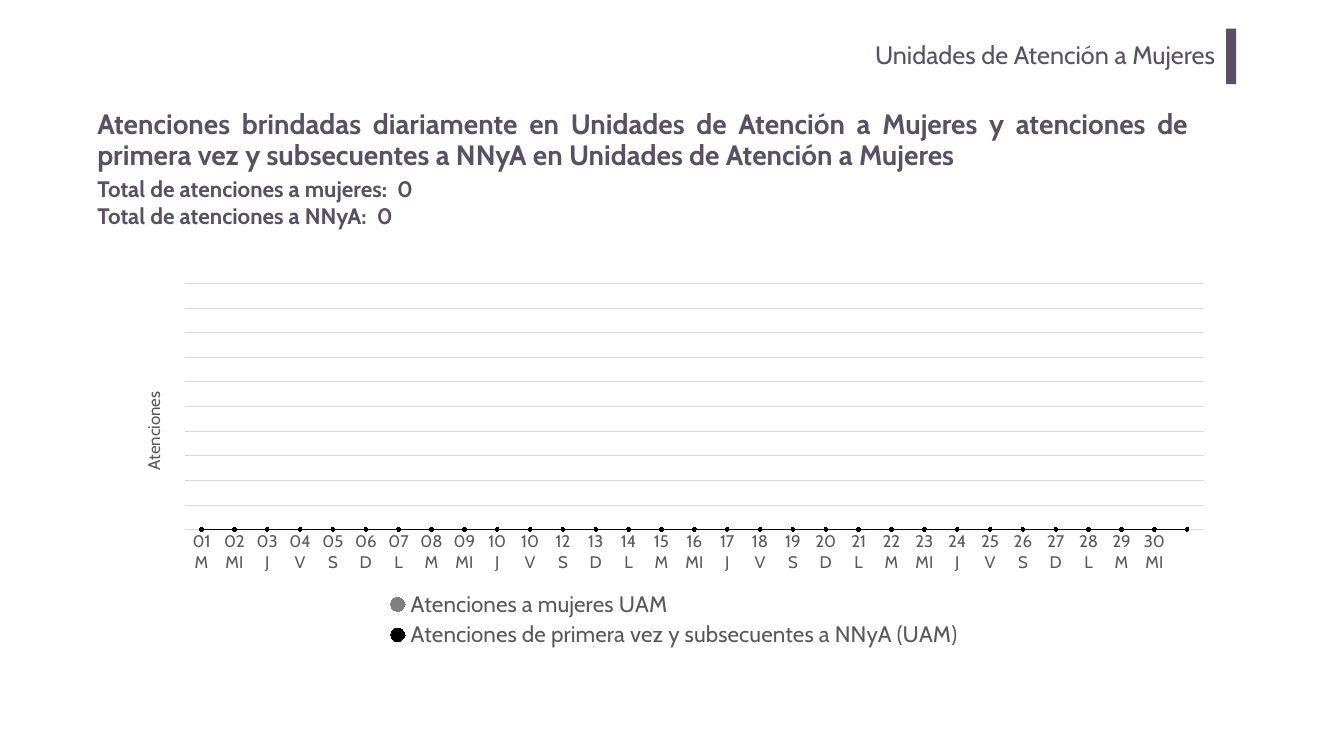
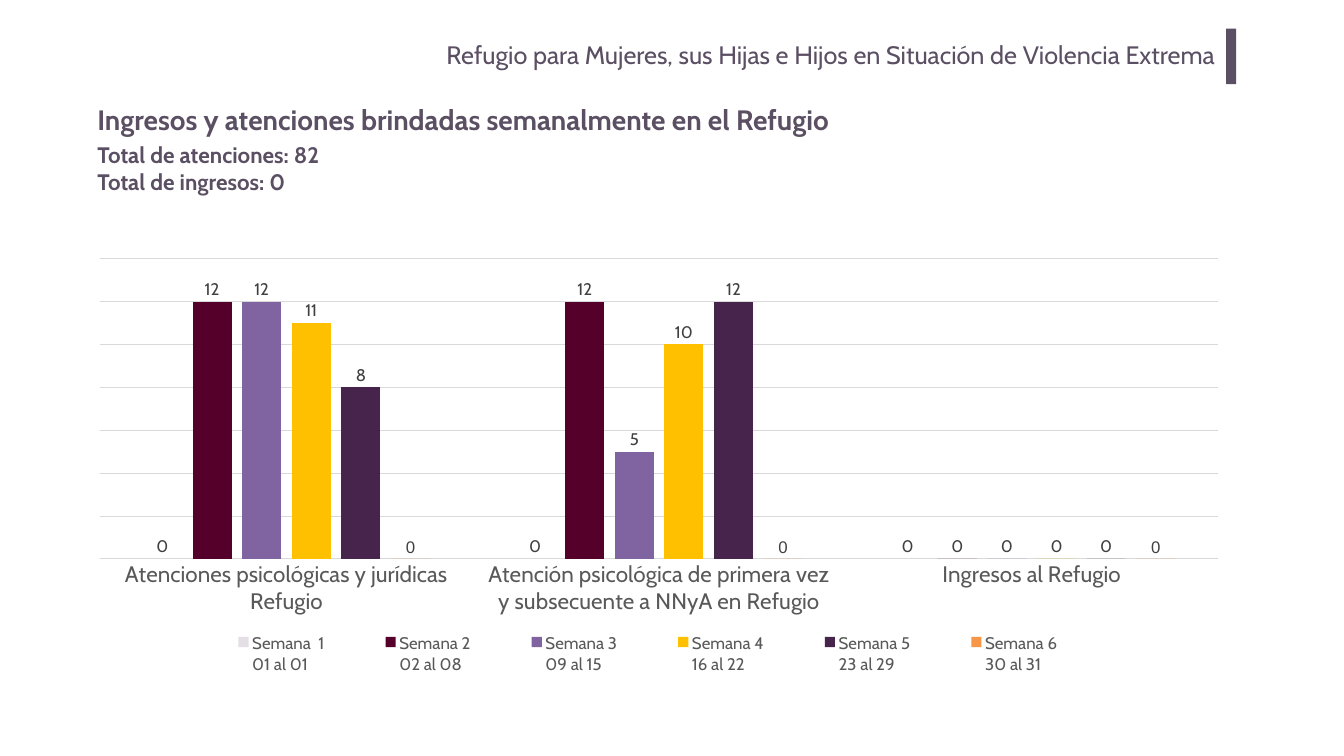
import pptx
import pptx.chart.data
import pptx.dml.color
import pptx.enum.chart
import pptx.enum.shapes
import pptx.enum.text
import pptx.oxml
import pptx.oxml.ns
import pptx.util
from lxml import etree

PX = 9144  # EMU per px, 100 px to the inch
FONT = "Cabin"
PLUM, GRID, GREY, LABEL = "5B4F63", "D9D9D9", "595959", "404040"

ALIGN = pptx.enum.text.PP_ALIGN
FIT = pptx.enum.text.MSO_AUTO_SIZE
KIND = pptx.enum.chart.XL_CHART_TYPE


def color(code):
    return pptx.dml.color.RGBColor.from_string(code)


def fill(target, code):
    target.fill.solid()
    target.fill.fore_color.rgb = color(code)


def style_font(font, size, code, bold=False, name=FONT):
    font.name = name
    font.size = pptx.util.Pt(size)
    font.bold = bold
    font.color.rgb = color(code)


def arrange(parent, bounds, after=None, inner=False):
    """Give a chart part a manual place, as fractions of the chart."""
    tag = pptx.oxml.ns.qn
    for old in parent.findall(tag("c:layout")):
        parent.remove(old)
    layout = etree.Element(tag("c:layout"))
    manual = etree.SubElement(layout, tag("c:manualLayout"))
    settings = [("layoutTarget", "inner")] if inner else []
    settings += [("xMode", "edge"), ("yMode", "edge")]
    settings += zip("xywh", bounds)
    for key, value in settings:
        etree.SubElement(manual, tag(f"c:{key}")).set("val", str(value))
    if after:
        parent.find(tag(after)).addnext(layout)
    else:
        parent.insert(0, layout)


class Report:
    def __init__(self):
        self.deck = pptx.Presentation()
        self.deck.slide_width, self.deck.slide_height = 2667 * PX, 1500 * PX
        self.page = None

    def place(self, item, left, top, width, height):
        item.left, item.top = left * PX, top * PX
        item.width, item.height = width * PX, height * PX

    def start_page(self, section):
        """Add a slide with its section name and the bar beside it."""
        self.page = self.deck.slides.add_slide(self.deck.slide_layouts[1])
        box = self.page.shapes.add_textbox(401 * PX, 67 * PX, 2030 * PX, 102 * PX)
        frame = box.text_frame
        frame.word_wrap = True
        frame.margin_left = frame.margin_right = 20 * PX
        frame.margin_top = frame.margin_bottom = 10 * PX
        para = frame.paragraphs[0]
        para.text = section
        para.alignment = ALIGN.RIGHT
        style_font(para.font, 36, PLUM)

        bar = self.page.shapes.add_shape(
            pptx.enum.shapes.MSO_SHAPE.RECTANGLE,
            2433 * PX, 57 * PX, 20 * PX, 110 * PX)
        bar.shadow.inherit = False
        fill(bar, PLUM)
        bar.line.fill.background()

    def title(self, text, top):
        box = self.page.shapes.title
        self.place(box, 183, top, 2185, 145)
        frame = box.text_frame
        frame.auto_size = FIT.NONE
        frame.vertical_anchor = pptx.enum.text.MSO_ANCHOR.MIDDLE
        para = frame.paragraphs[0]
        para.text = text
        para.alignment = ALIGN.JUSTIFY
        para.line_spacing = 0.9
        style_font(para.font, 40, PLUM, bold=True)

    def totals(self, lines, top, width):
        box = self.page.placeholders[1]
        self.place(box, 183, top, width, 118)
        frame = box.text_frame
        frame.auto_size = FIT.SHAPE_TO_FIT_TEXT
        frame.text = "\n".join(lines)
        for para in frame.paragraphs:
            properties = para._p.get_or_add_pPr()
            properties.set("marL", "0")
            properties.set("indent", "0")
            etree.SubElement(properties, pptx.oxml.ns.qn("a:buNone"))
            para.space_before = pptx.util.Pt(0)
            style_font(para.font, 32, PLUM, bold=True)

    def chart(self, kind, bounds, categories, series, scale, plot_area,
              legend_area, axis_size, legend_size):
        data = pptx.chart.data.CategoryChartData()
        data.categories = categories
        for name, values, _ in series:
            data.add_series(name, values)
        left, top, width, height = (length * PX for length in bounds)
        chart = self.page.shapes.add_chart(
            kind, left, top, width, height, data).chart
        style_font(chart.font, 10, "000000", name="Arial")
        chart.has_title = False
        chart.plots[0].vary_by_categories = False

        axis = chart.category_axis
        axis.major_tick_mark = pptx.enum.chart.XL_TICK_MARK.NONE
        style_font(axis.tick_labels.font, axis_size, GREY)
        values_axis = chart.value_axis
        values_axis.visible = False
        values_axis.minimum_scale = 0
        values_axis.maximum_scale, values_axis.major_unit = scale
        for line in (axis.format.line, values_axis.major_gridlines.format.line):
            line.color.rgb = color(GRID)
            line.width = pptx.util.Pt(0.75)

        chart.has_legend = True
        chart.legend.position = pptx.enum.chart.XL_LEGEND_POSITION.BOTTOM
        chart.legend.include_in_layout = False
        style_font(chart.legend.font, legend_size, GREY)
        arrange(chart.element.xpath(".//c:plotArea")[0], plot_area, inner=True)
        arrange(chart.element.xpath(".//c:legend")[0], legend_area, "c:legendPos")
        return chart

    def line_chart(self, bounds, categories, series, axis_name):
        chart = self.chart(
            KIND.LINE_MARKERS, bounds, categories, series, (1, 0.1),
            (0.056, 0.02, 0.925, 0.655), (0.23, 0.83, 0.54, 0.17), 24, 32)
        for line, (_, _, code) in zip(chart.plots[0].series, series):
            line.smooth = False
            line.format.line.color.rgb = color(code)
            line.format.line.width = pptx.util.Pt(1)
            line.marker.style = pptx.enum.chart.XL_MARKER_STYLE.CIRCLE
            line.marker.size = 5
            fill(line.marker.format, code)
            line.marker.format.line.color.rgb = color(code)

        title = chart.value_axis.axis_title
        para = title.text_frame.paragraphs[0]
        para.text = axis_name
        style_font(para.font, 24, GREY)
        turn = chart.element.xpath(".//c:valAx/c:title//a:bodyPr")[0]
        turn.set("rot", "-5400000")
        turn.set("vert", "horz")
        arrange(chart.element.xpath(".//c:valAx/c:title")[0], (0.014, 0.3), "c:tx")

    def column_chart(self, bounds, categories, series):
        chart = self.chart(
            KIND.COLUMN_CLUSTERED, bounds, categories, series, (14, 2),
            (0.007, 0.018, 0.986, 0.692), (0.08, 0.87, 0.82, 0.12), 32, 24)
        plot = chart.plots[0]
        plot.gap_width, plot.overlap = 219, -27
        for column, (_, _, code) in zip(plot.series, series):
            fill(column.format, code)
            labels = column.data_labels
            labels.show_value = True
            labels.number_format = "0"
            labels.number_format_is_linked = False
            labels.position = pptx.enum.chart.XL_LABEL_POSITION.OUTSIDE_END
            last = column.name == series[-1][0]
            style_font(labels.font, 24, LABEL, name="Arial" if last else FONT)


def main():
    report = Report()

    report.start_page("Unidades de Atención a Mujeres")
    report.title("Atenciones brindadas diariamente en Unidades de Atención a "
                 "Mujeres y atenciones de primera vez y subsecuentes a NNyA en "
                 "Unidades de Atención a Mujeres", 207)
    report.totals(["Total de atenciones a mujeres:  0",
                   "Total de atenciones a NNyA:  0"], 343, 812)
    weekdays = ["M", "MI", "J", "V", "S", "D", "L"]
    numbers = [*range(1, 11), 10, *range(12, 31)]
    days = [f"{number:02}\n{weekdays[index % 7]}"
            for index, number in enumerate(numbers)] + [""]
    no_care = [0] * len(days)
    report.line_chart((245, 547, 2185, 746), days, [
        ("Atenciones a mujeres UAM", no_care, "808080"),
        ("Atenciones de primera vez y subsecuentes a NNyA (UAM)", no_care, "000000"),
    ], "Atenciones")

    report.start_page("Refugio para Mujeres, sus Hijas e Hijos en Situación de "
                      "Violencia Extrema")
    report.title("Ingresos y atenciones brindadas semanalmente en el Refugio", 169)
    report.totals(["Total de atenciones: 82", "Total de ingresos: 0"], 275, 564)
    report.column_chart((183, 498, 2250, 860), [
        "Atenciones psicológicas y jurídicas Refugio",
        "Atención psicológica de primera vez y subsecuente a NNyA en Refugio",
        "Ingresos al Refugio",
    ], [
        ("Semana  1\n01 al 01", (0, 0, 0), "E3DFE5"),
        ("Semana 2\n02 al 08", (12, 12, 0), "54002A"),
        ("Semana 3\n09 al 15", (12, 5, 0), "8064A2"),
        ("Semana 4\n16 al 22", (11, 10, 0), "FFC000"),
        ("Semana 5\n23 al 29", (8, 12, 0), "46244C"),
        ("Semana 6\n30 al 31", (0, 0, 0), "F79646"),
    ])

    report.deck.save("out.pptx")


if __name__ == "__main__":
    main()
